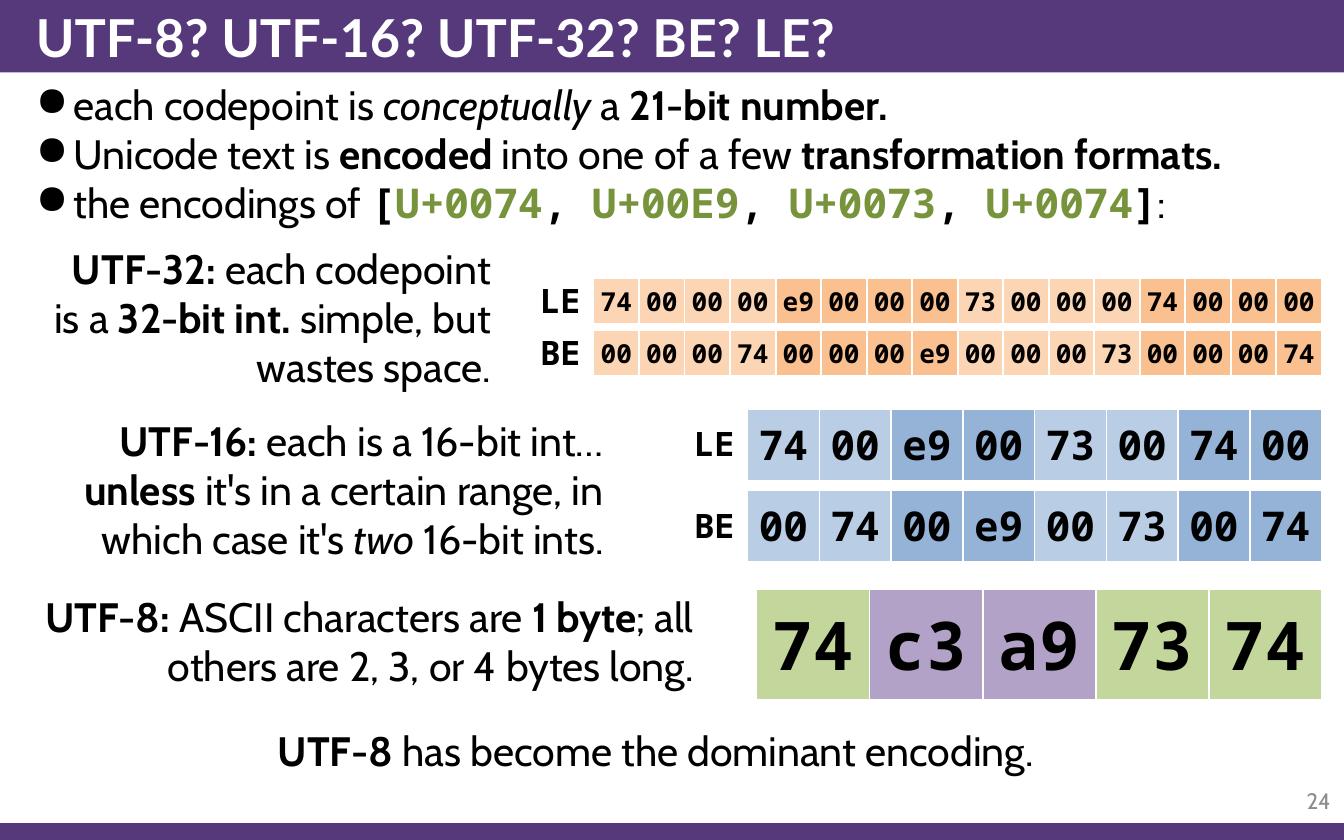
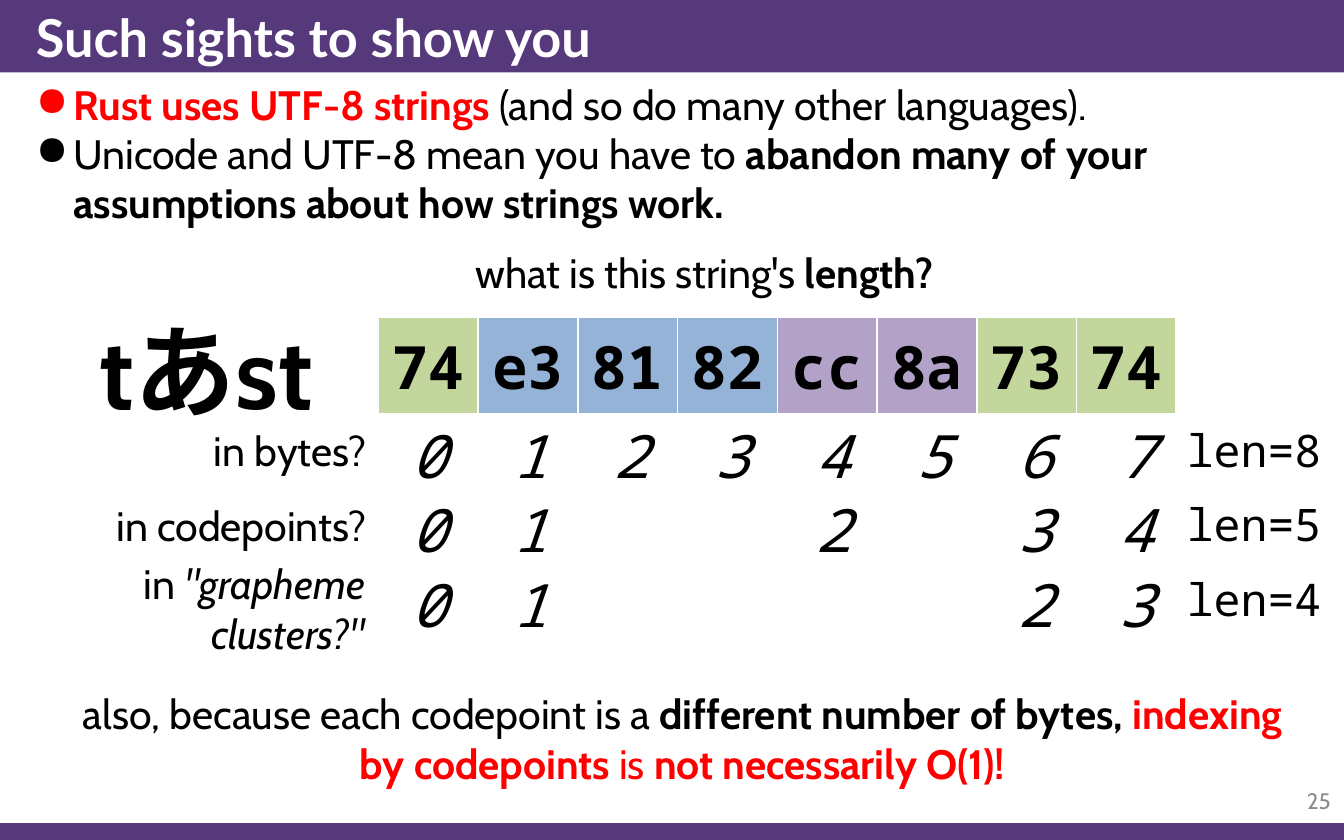
import lxml.etree
import pptx
import pptx.dml.color
import pptx.enum.shapes
import pptx.enum.text
import pptx.oxml.ns
import pptx.util

Cm = pptx.util.Cm
Pt = pptx.util.Pt
ALIGN = pptx.enum.text.PP_ALIGN
MIDDLE = pptx.enum.text.MSO_ANCHOR.MIDDLE
COLORS = {
    "purple": "56397B", "white": "FFFFFF", "black": "000000", "gray": "8C8C8C",
    "red": "FF0000", "green": "77933C",
    "peach": "FCD5B5", "orange": "FAC090", "sky": "B9CDE5", "blue": "95B3D7",
    "lime": "C3D69B", "lilac": "B3A2C7",
}
FONTS = {"body": "Cabin", "title": "Lato", "mono": "Noto Sans Mono"}
WIDTH, HEIGHT = 25.4, 15.88
BAND = 1.37
FOOT = 0.32


def color(name):
    return pptx.dml.color.RGBColor.from_string(COLORS[name])


def add_xml(parent, tag, **attributes):
    return lxml.etree.SubElement(parent, pptx.oxml.ns.qn(tag), attributes)


class Deck:
    """Holds the presentation, its style and the current page.

    Text is a list of paragraphs; a paragraph is a list of spans, each one
    (words, marks), where marks name bold, italic, a font or a colour.
    """

    def __init__(self):
        self.file = pptx.Presentation()
        self.file.slide_width = Cm(WIDTH)
        self.file.slide_height = Cm(HEIGHT)
        self.page = None

    def new_page(self, title, number):
        self.page = self.file.slides.add_slide(self.file.slide_layouts[6])
        self.band(HEIGHT - FOOT, FOOT)
        self.band(0, BAND)
        self.text(0.43, 0, WIDTH - 0.43, BAND, [[(title, "title white bold")]],
                  size=28, anchor=MIDDLE)
        self.text(23.5, 14.71, 1.9, 0.84, [[(str(number), "gray")]],
                  ALIGN.RIGHT, size=12, anchor=MIDDLE)

    def band(self, top, height):
        box = self.page.shapes.add_shape(
            pptx.enum.shapes.MSO_SHAPE.RECTANGLE, 0, Cm(top), Cm(WIDTH), Cm(height))
        box.shadow.inherit = False
        box.fill.solid()
        box.fill.fore_color.rgb = color("purple")
        box.line.fill.background()

    def spans(self, para, spans, size):
        for words, marks in spans:
            marks = marks.split()
            span = para.add_run()
            span.text = words
            span.font.size = Pt(size)
            span.font.bold = "bold" in marks
            span.font.italic = "italic" in marks
            span.font.name = next((FONTS[m] for m in marks if m in FONTS), FONTS["body"])
            span.font.color.rgb = color(next((m for m in marks if m in COLORS), "black"))

    def text(self, left, top, width, height, paragraphs, align=ALIGN.LEFT,
             size=22, anchor=pptx.enum.text.MSO_ANCHOR.TOP, bullets=False):
        box = self.page.shapes.add_textbox(Cm(left), Cm(top), Cm(width), Cm(height))
        frame = box.text_frame
        frame.word_wrap = True
        frame.vertical_anchor = anchor
        for index, spans in enumerate(paragraphs):
            para = frame.add_paragraph() if index else frame.paragraphs[0]
            para.alignment = align
            if bullets:
                properties = para._p.get_or_add_pPr()
                properties.set("marL", str(Cm(0.71)))
                properties.set("indent", str(Cm(-0.71)))
                add_xml(properties, "a:buChar", char="●")
            self.spans(para, spans, size)

    def bullets(self, height, paragraphs):
        self.text(0.43, BAND, WIDTH - 0.43, height, paragraphs, bullets=True)

    def table_row(self, left, top, widths, height, cells):
        """Draw a one-row table; a cell is (words, marks, size, align, fill)."""
        table = self.page.shapes.add_table(
            1, len(cells), Cm(left), Cm(top), Cm(sum(widths)), Cm(height)).table
        table.first_row = table.horz_banding = False
        table.rows[0].height = Cm(height)
        for index, (words, marks, size, align, fill) in enumerate(cells):
            table.columns[index].width = Cm(widths[index])
            cell = table.cell(0, index)
            cell.margin_left = cell.margin_right = cell.margin_top = cell.margin_bottom = 0
            cell.vertical_anchor = MIDDLE
            self.cell_borders(cell)
            if fill:
                cell.fill.solid()
                cell.fill.fore_color.rgb = color(fill)
            else:
                cell.fill.background()
            if words:
                para = cell.text_frame.paragraphs[0]
                para.alignment = align
                self.spans(para, [(words, marks)], size)

    def cell_borders(self, cell):
        properties = cell._tc.get_or_add_tcPr()
        for side in ("a:lnL", "a:lnR", "a:lnT", "a:lnB"):
            line = add_xml(properties, side, w=str(Pt(1)))
            add_xml(add_xml(line, "a:solidFill"), "a:srgbClr", val=COLORS["white"])

    def byte_row(self, left, top, width, height, size, values, fills):
        values = values.split()
        cells = [(value, "mono bold", size, ALIGN.CENTER, fill)
                 for value, fill in zip(values, fills)]
        self.table_row(left, top, [width / len(values)] * len(values), height, cells)

    def endian_rows(self, left, top, step, width, height, size, rows, fills):
        """Draw the LE and BE byte rows, each with its label on the left."""
        for index, (label, values) in enumerate(zip(("LE", "BE"), rows)):
            row_top = top + index * step
            self.byte_row(left, row_top, width, height, size, values, fills)
            self.text(left - 1.37, row_top + height / 2 - 0.53, 1.37, 1.02,
                      [[(label, "mono bold")]], ALIGN.RIGHT, size=18)

    def index_row(self, left, top, indices, length):
        cells = [(index.strip(), "mono italic", 32, ALIGN.CENTER, None) for index in indices]
        cells.append((f"len={length}", "mono", 24, ALIGN.LEFT, None))
        self.table_row(left, top, [1.91] * len(indices) + [3.4], 1.35, cells)


def alternate(first, second, group):
    """Colours of four codepoints of `group` bytes each."""
    return ([first] * group + [second] * group) * 2


def encodings_page(deck):
    deck.new_page("UTF-8? UTF-16? UTF-32? BE? LE?", 24)
    codepoints = [("the encodings of ", ""), ("[", "mono bold")]
    for index, point in enumerate(("U+0074", "U+00E9", "U+0073", "U+0074")):
        if index:
            codepoints.append((", ", "mono bold"))
        codepoints.append((point, "mono bold green"))
    codepoints += [("]", "mono bold"), (":", "")]
    deck.bullets(3.89, [
        [("each codepoint is ", ""), ("conceptually", "italic"), (" a ", ""),
         ("21-bit number.", "bold")],
        [("Unicode text is ", ""), ("encoded ", "bold"), ("into one of a few ", ""),
         ("transformation formats.", "bold")],
        codepoints,
    ])

    deck.endian_rows(11.22, 5.26, 0.99, 13.76, 0.86, 14,
                     ("74 00 00 00 e9 00 00 00 73 00 00 00 74 00 00 00",
                      "00 00 00 74 00 00 00 e9 00 00 00 73 00 00 00 74"),
                     alternate("peach", "orange", 4))
    deck.endian_rows(14.13, 7.73, 1.54, 10.85, 1.35, 22,
                     ("74 00 e9 00 73 00 74 00", "00 74 00 e9 00 73 00 74"),
                     alternate("sky", "blue", 2))
    deck.byte_row(14.3, 11.13, 10.68, 2.1, 36, "74 c3 a9 73 74",
                  ["lime", "lilac", "lilac", "lime", "lime"])

    deck.text(0.64, 4.47, 8.89, 3.07, [[
        ("UTF-32:", "bold"), (" each codepoint is a ", ""), ("32-bit int.", "bold"),
        (" simple, but wastes space.", "")]], ALIGN.RIGHT)
    deck.text(-0.2, 7.73, 11.86, 3.07, [[
        ("UTF-16:", "bold"), (" each is a 16-bit int… ", ""), ("unless", "bold"),
        (" it's in a certain range, in which case it's ", ""), ("two", "italic"),
        (" 16-bit ints.", "")]], ALIGN.RIGHT)
    deck.text(0.43, 11.05, 12.93, 2.13, [[
        ("UTF-8:", "bold"), (" ASCII characters are ", ""), ("1 byte", "bold"),
        ("; all others are 2, 3, or 4 bytes long.", "")]], ALIGN.RIGHT)
    deck.text(4.01, 13.59, 16.94, 1.19, [[
        ("UTF-8 ", "bold"), ("has become the dominant encoding. ", "")]], ALIGN.CENTER)


def length_page(deck):
    deck.new_page("Such sights to show you", 25)
    deck.bullets(3.18, [
        [("Rust uses UTF-8 strings", "bold red"),
         (" (and so do many other languages).", "")],
        [("Unicode and UTF-8 mean you have to ", ""),
         ("abandon many of your assumptions about how strings work.", "bold")],
    ])
    deck.text(3.89, 4.55, 18.85, 1.19, [[
        ("what is this string's ", ""), ("length?", "bold")]], ALIGN.CENTER)

    left = 7.15
    deck.byte_row(left, 6, 15.08, 1.85, 32, "74 e3 81 82 cc 8a 73 74",
                  ["lime"] + ["blue"] * 3 + ["lilac"] * 2 + ["lime"] * 2)
    deck.text(1.07, 5.72, 5.66, 2.57, [[("tあ̊st", "bold")]], ALIGN.CENTER, size=54)

    counts = (("01234567", 8), ("01  2 34", 5), ("01    23", 4))
    for index, (indices, length) in enumerate(counts):
        deck.index_row(left, 7.83 + index * 1.41, indices, length)
    for index, label in enumerate(("in bytes?", "in codepoints?")):
        deck.text(1.07, 7.92 + index * 1.41, 6.1, 1.19, [[(label, "")]], ALIGN.RIGHT)
    deck.text(1.47, 10.44, 5.68, 2.13, [[
        ("in ", ""), ('"grapheme clusters?"', "italic")]], ALIGN.RIGHT)

    deck.text(0.91, 12.9, 23.98, 2.13, [[
        ("also, because each codepoint is a ", ""),
        ("different number of bytes, ", "bold"), ("indexing by codepoints ", "bold red"),
        ("is ", "red"), ("not necessarily O(1)!", "bold red")]], ALIGN.CENTER)


def main():
    deck = Deck()
    encodings_page(deck)
    length_page(deck)
    deck.file.save("out.pptx")


if __name__ == "__main__":
    main()
